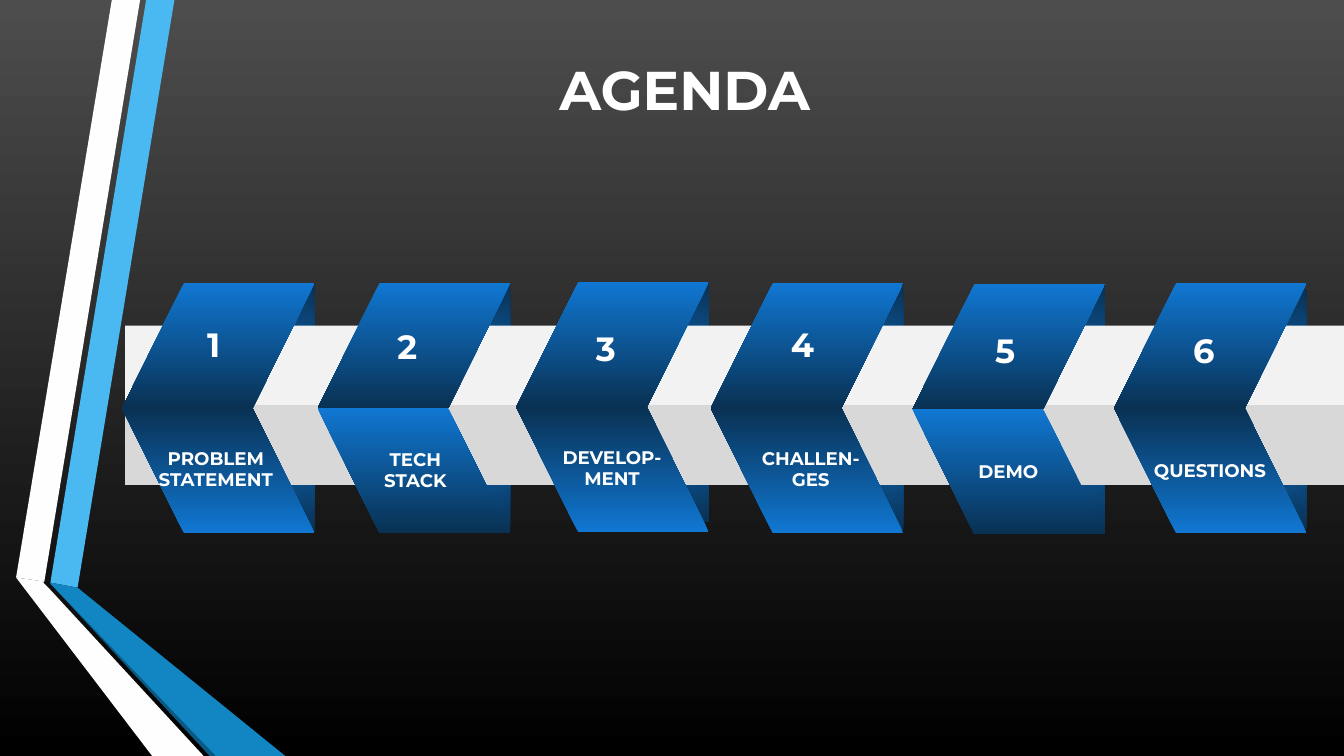
from lxml.etree import SubElement
from pptx import Presentation
from pptx.dml.color import RGBColor
from pptx.enum.shapes import MSO_SHAPE
from pptx.enum.text import MSO_ANCHOR, PP_ALIGN
from pptx.oxml.ns import qn
from pptx.util import Inches, Pt

COLORS = {
    "top": "4D4D4D", "black": "000000", "white": "FFFFFF", "chalk": "FEFEFE",
    "sky": "4AB8F1", "blue": "1186C3", "deep": "0B5982",
    "bright": "1077D2", "navy": "093153", "light": "F2F2F2", "gray": "D8D8D8",
}
FONT = "Montserrat"
TITLE = "AGENDA"

STRIPS = [
    ("sky", [(0.5, 5.78), (0.77, 5.83), (1.73, 0), (1.45, 0)]),
    ("chalk", [(1.39, 0), (1.11, 0), (0.16, 5.73), (0.44, 5.77)]),
    ("deep", [(0.5, 5.79), (2.08, 7.5), (2.14, 7.5)]),
    ("blue", [(0.5, 5.79), (2.14, 7.5), (2.83, 7.5), (0.77, 5.83), (0.5, 5.78)]),
    ("chalk", [(2.02, 7.5), (0.48, 5.83), (0.43, 5.78), (0.44, 5.77),
               (0.16, 5.73), (1.51, 7.5)]),
]

BANDS = [("light", 3.23), ("gray", 4.02)]

STEPS = [
    {"at": (1.21, 2.81), "fold": (0, 2.47), "turn": True, "num": (2.12, 3.41),
     "lines": ["PROBLEM STATEMENT"], "mid": (2.14, 4.65), "wide": 1.42},
    {"at": (3.15, 2.81), "fold": (0, 2.47), "turn": False, "num": (4.04, 3.43),
     "lines": ["TECH STACK"], "mid": (4.12, 4.66), "wide": 1.13},
    {"at": (5.12, 2.8), "fold": (0, 2.38), "turn": True, "num": (6.01, 3.45),
     "lines": ["DEVELOP-", "MENT"], "mid": (6.07, 4.64), "wide": 1.42},
    {"at": (7.05, 2.81), "fold": (0, 2.47), "turn": True, "num": (7.96, 3.41),
     "lines": ["CHALLEN-", "GES"], "mid": (8.04, 4.65), "wide": 1.42},
    {"at": (9.05, 2.82), "fold": (0, 2.47), "turn": False, "num": (9.97, 3.47),
     "lines": ["DEMO"], "mid": (10, 4.68), "wide": 1.42},
    {"at": (11.05, 2.81), "fold": (0.06, 2.38), "turn": True, "num": (11.94, 3.47),
     "lines": ["QUESTIONS"], "mid": (12, 4.66), "wide": 1.42},
]
WIDE, HIGH, FOLD = 1.91, 1.24, 0.68

deck = Presentation()
deck.slide_width, deck.slide_height = Inches(13.33), Inches(7.5)
slide = deck.slides.add_slide(deck.slide_layouts[6])


def rgb(name):
    return RGBColor.from_string(COLORS[name])


def blend(fill, first, last):
    fill.gradient()
    fill.gradient_angle = 270
    for stop, name, spot in zip(fill.gradient_stops, (first, last), (0, 1)):
        stop.color.rgb = rgb(name)
        stop.position = spot


def glow(shape):
    grad = shape._element.spPr.find(qn("a:gradFill"))
    grad.remove(grad.find(qn("a:lin")))
    ring = SubElement(grad, qn("a:path"), path="circle")
    SubElement(ring, qn("a:fillToRect"), l="50000", t="50000", r="50000", b="50000")


def plain(shape, color=None):
    shape.shadow.inherit = False
    shape.line.fill.background()
    if color:
        shape.fill.solid()
        shape.fill.fore_color.rgb = rgb(color)
    else:
        blend(shape.fill, "bright", "navy")
    return shape


def block(kind, x, y, w, h, color=None):
    shape = slide.shapes.add_shape(kind, Inches(x), Inches(y), Inches(w), Inches(h))
    return plain(shape, color)


def slant(x, y):
    shape = block(MSO_SHAPE.PARALLELOGRAM, x, y, WIDE, HIGH)
    shape.adjustments[0] = 0.496
    return shape


def write(lines, mid, w, h, size):
    x, y = mid
    box = slide.shapes.add_textbox(
        Inches(x - w / 2), Inches(y - h / 2), Inches(w), Inches(h))
    frame = box.text_frame
    frame.word_wrap = True
    frame.vertical_anchor = MSO_ANCHOR.MIDDLE
    for i, line in enumerate(lines):
        para = frame.add_paragraph() if i else frame.paragraphs[0]
        para.alignment = PP_ALIGN.CENTER
        run = para.add_run()
        run.text = line
        run.font.name, run.font.size, run.font.bold = FONT, Pt(size), True
        run.font.color.rgb = rgb("white")


blend(slide.background.fill, "top", "black")

for color, points in STRIPS:
    start, *rest = [(Inches(x), Inches(y)) for x, y in points]
    path = slide.shapes.build_freeform(*start)
    path.add_line_segments(rest, close=True)
    plain(path.convert_to_shape(), color)

for step in STEPS:
    x, y = step["at"]
    drop, tall = step["fold"]
    glow(block(MSO_SHAPE.RECTANGLE, x + WIDE - FOLD, y + drop, FOLD, tall))

for color, y in BANDS:
    block(MSO_SHAPE.RECTANGLE, 1.24, y, 12.09, 0.79, color)

write([TITLE], (6.79, 0.88), 7.28, 0.86, 39)

for count, step in enumerate(STEPS, 1):
    x, y = step["at"]
    slant(x, y)
    lower = slant(x, y + HIGH)
    lower._element.spPr.find(qn("a:xfrm")).set("flipH", "1")
    if step["turn"]:
        lower.rotation = 180
    write([str(count)], step["num"], 1.3, 1.12, 24)
    write(step["lines"], step["mid"], step["wide"], 0.54, 13)

deck.save("out.pptx")
